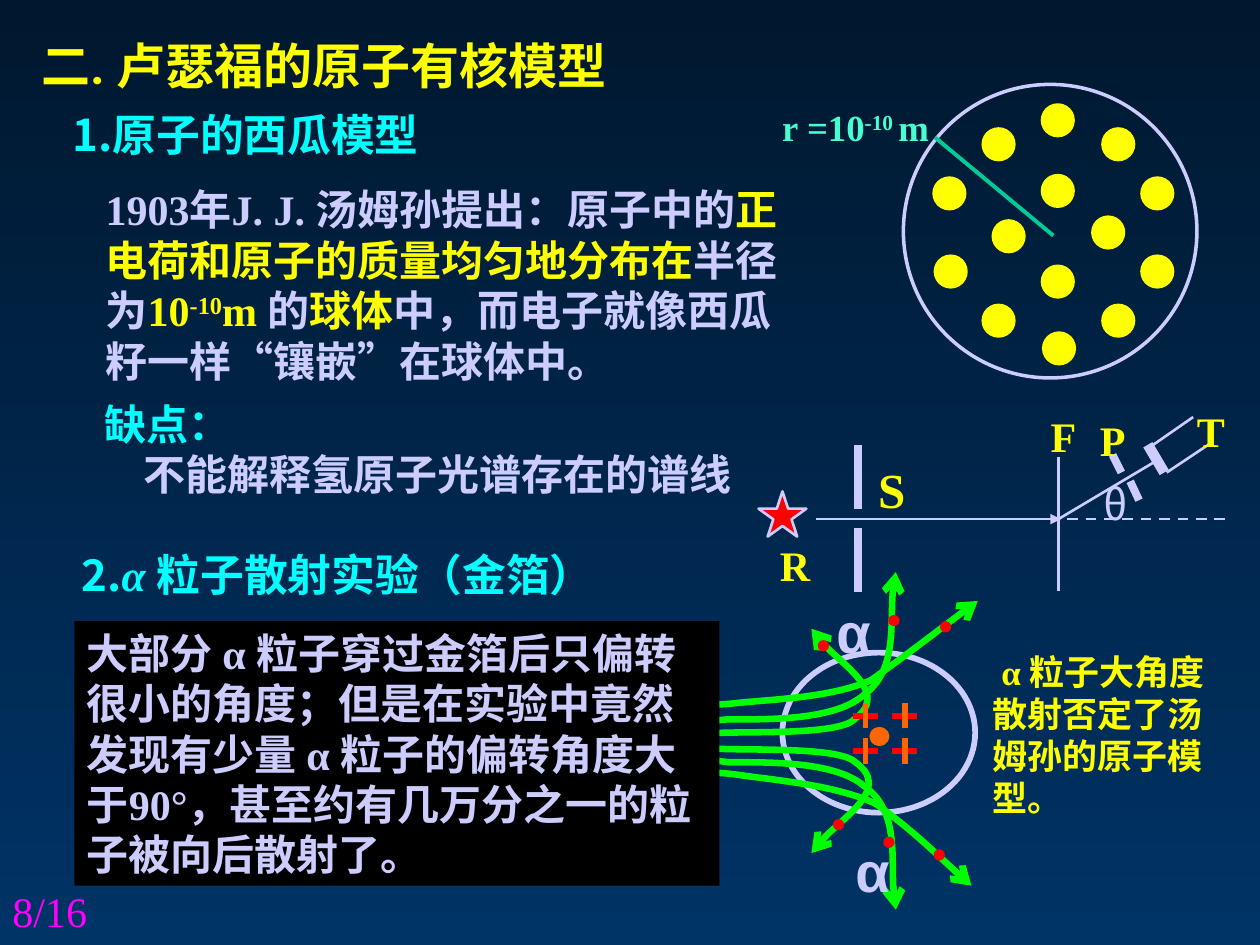
from lxml import etree
from pptx import Presentation
from pptx import util as u
from pptx.dml.color import RGBColor
from pptx.enum import dml, shapes, text
from pptx.oxml.ns import qn

SCALE = 9144
COLORS = {
    "night": "00182F", "navy": "003366", "yellow": "FFFF00", "lilac": "CCCCFF",
    "cyan": "00FFFF", "red": "FF0000", "green": "00FF00", "orange": "FF6600",
    "black": "000000", "magenta": "FF00FF", "teal": "00CC99", "mint": "47FFD1",
}
SERIF, SANS, CJK, ARIAL = "Times New Roman", "Roboto", "Noto Sans CJK SC", "Arial"


def px(value):
    return u.Emu(round(value * SCALE))


def rgb(name):
    return RGBColor.from_string(COLORS[name])


class Painter:
    def __init__(self, page):
        self.page = page

    def background(self, top, bottom):
        fill = self.page.background.fill
        fill.gradient()
        fill.gradient_angle = 270
        for stop, color, position in zip(fill.gradient_stops, (top, bottom), (0, 1)):
            stop.color.rgb = rgb(color)
            stop.position = position

    def stroke(self, line, color, width, arrow=None, dash=False):
        line.color.rgb = rgb(color)
        line.width = u.Pt(width)
        if dash:
            line.dash_style = dml.MSO_LINE.DASH
        if arrow:
            etree.SubElement(line._get_or_add_ln(), qn("a:tailEnd"), type=arrow)

    def shape(self, kind, left, top, width, height, fill=None, line=None, weight=1.5):
        shape = self.page.shapes.add_shape(kind, px(left), px(top), px(width), px(height))
        shape.shadow.inherit = False
        if fill:
            shape.fill.solid()
            shape.fill.fore_color.rgb = rgb(fill)
        else:
            shape.fill.background()
        if line:
            self.stroke(shape.line, line, weight)
        else:
            shape.line.fill.background()
        return shape

    def ellipse(self, *place, **style):
        return self.shape(shapes.MSO_SHAPE.OVAL, *place, **style)

    def line(self, x1, y1, x2, y2, color="lilac", width=1.5, arrow=None, dash=False):
        link = self.page.shapes.add_connector(
            shapes.MSO_CONNECTOR.STRAIGHT, px(x1), px(y1), px(x2), px(y2))
        self.stroke(link.line, color, width, arrow, dash)
        etree.SubElement(link._element.spPr, qn("a:effectLst"))

    def curve(self, points, color, width):
        builder = self.page.shapes.build_freeform(*points[0], scale=SCALE)
        builder.add_line_segments(points[1:], close=False)
        shape = builder.convert_to_shape()
        outline = next(shape._element.iter(qn("a:path")))
        corners = outline.findall(qn("a:lnTo"))
        for start in range(0, len(corners), 3):
            bend = etree.SubElement(outline, qn("a:cubicBezTo"))
            for corner in corners[start:start + 3]:
                bend.append(corner[0])
                outline.remove(corner)
        shape.shadow.inherit = False
        shape.fill.background()
        self.stroke(shape.line, color, width, "arrow")

    def set_text(self, box, paras, size, color, font=SERIF, bold=True, wrap=True,
                 pitch=None, middle=False):
        frame = box.text_frame
        frame.word_wrap = wrap
        frame.vertical_anchor = text.MSO_ANCHOR.MIDDLE if middle else text.MSO_ANCHOR.TOP
        for index, (indent, spans) in enumerate(paras):
            para = frame.add_paragraph() if index else frame.paragraphs[0]
            para.alignment = text.PP_ALIGN.LEFT
            if pitch:
                para.line_spacing = u.Pt(pitch)
            if indent:
                para._p.get_or_add_pPr().set("indent", str(px(indent)))
            for words, style in spans:
                span = para.add_run()
                span.text = words
                span.font.size = u.Pt(size)
                span.font.bold = bold
                span.font.name = style.get("font", font)
                span.font.color.rgb = rgb(style.get("color", color))
                if style.get("italic"):
                    span.font.italic = True
                if style.get("raised"):
                    span.font._element.set("baseline", "30000")

    def text(self, left, top, width, height, paras, size, color, **style):
        box = self.page.shapes.add_textbox(px(left), px(top), px(width), px(height))
        self.set_text(box, paras, size, color, **style)

    def label(self, left, top, width, height, words, size, color="yellow", **style):
        self.text(left, top, width, height, [(0, [(words, {})])], size, color,
                  wrap=False, **style)


def draw_headings(paint):
    yellow = {"color": "yellow"}
    paint.text(23, 23, 608, 57, [(0, [("二. 卢瑟福的原子有核模型", {})])], 28, "yellow",
               font=SANS, pitch=33.6, middle=True)
    paint.text(74, 141, 558, 170, [(0, [
        ("1903年J. J. 汤姆孙提出：原子中的", {}),
        ("正电荷和原子的质量均匀地分布在", yellow),
        ("半径为", {}),
        ("10", yellow),
        ("-10", {"color": "yellow", "raised": True}),
        ("m ", yellow),
        ("的", {}),
        ("球体", yellow),
        ("中，而电子就像西瓜籽一样“镶嵌”在球体中。", {}),
    ])], 24, "lilac", pitch=28.8)
    paint.text(48, 81, 515, 52, [(0, [("1.", {"font": CJK}), ("原子的西瓜模型", {})])],
               25, "cyan", font=SANS, pitch=30)
    paint.text(73, 311, 568, 90, [
        (0, [("缺点：", {})]),
        (31, [("不能解释氢原子光谱存在的谱线", {"color": "lilac"})]),
    ], 24, "cyan", pitch=28.8)
    paint.text(55, 430, 586, 52, [(0, [
        ("2.", {"font": CJK}),
        ("α ", {"font": SERIF, "italic": True}),
        ("粒子散射实验（金箔）", {}),
    ])], 25, "cyan", font=SANS, pitch=30)


def draw_melon_atom(paint):
    paint.ellipse(717, 67, 233, 233, line="lilac", weight=2)
    electrons = [(780, 102), (741, 141), (742, 203), (780, 242), (827, 211), (788, 175),
                 (827, 139), (875, 102), (906, 141), (906, 203), (867, 172), (875, 242),
                 (828, 264), (827, 83)]
    for left, top in electrons:
        paint.ellipse(left, top, 25, 25, fill="yellow", line="yellow")


def draw_apparatus(paint):
    for top in (353, 419):
        paint.line(681, top, 681, top + 51, width=4.5)
    paint.shape(shapes.MSO_SHAPE.STAR_5_POINT, 602, 390, 38, 36, fill="red", line="lilac")
    paint.line(840, 363, 840, 414)
    paint.line(840, 410, 840, 469)
    paint.line(648, 412, 842, 412, arrow="triangle")
    paint.line(847, 412, 976, 412, dash=True)
    paint.line(840, 412, 919, 365)
    paint.line(883, 361, 890, 375, width=4.5)
    paint.line(897, 382, 904, 397, width=4.5)
    paint.line(926, 375, 962, 351)
    paint.line(911, 356, 947, 331)
    paint.line(911, 353, 924, 375, width=6)
    paint.label(687, 360, 41, 57, "S", 28)
    for words, left, top in (("R", 609, 423), ("F", 824, 321), ("P", 863, 324), ("T", 940, 317)):
        paint.label(left, top, 42, 50, words, 24)
    paint.label(866, 375, 40, 50, "θ", 24, "lilac", font=CJK, bold=False, pitch=28.8)


def draw_scattering(paint):
    paint.ellipse(621, 518, 153, 127, line="lilac", weight=3.25)
    tracks = [
        [(533, 583), (539, 583), (541, 584), (565, 582), (589, 580), (665, 584), (678, 571),
         (706, 551), (651, 514), (644, 499)],
        [(535, 571), (542, 571), (552, 574), (577, 571), (609, 571), (662, 572), (685, 552),
         (712, 533), (705, 474), (711, 454)],
        [(527, 558), (537, 558), (558, 561), (585, 558), (612, 555), (659, 554), (691, 540),
         (718, 521), (758, 490), (776, 477)],
        [(533, 593), (539, 593), (541, 592), (566, 594), (590, 596), (666, 592), (679, 605),
         (707, 625), (652, 662), (644, 677)],
        [(532, 603), (539, 603), (552, 601), (578, 605), (610, 605), (663, 604), (686, 624),
         (713, 643), (706, 702), (711, 722)],
        [(530, 614), (540, 615), (559, 611), (586, 615), (613, 619), (664, 623), (695, 638),
         (722, 657), (755, 689), (771, 703)],
    ]
    for points in tracks:
        paint.curve(points, "green", 3.75)
    paint.ellipse(690, 577, 16, 15, fill="orange")
    for x in (687, 718):
        for y in (568, 596):
            paint.line(x - 10, y, x + 10, y, "red", 3.25)
            paint.line(x, y - 10, x, y + 10, "orange", 3.25)
    for left, top in ((669, 659), (654, 469)):
        paint.label(left, top, 48, 64, "α", 32, "lilac", font=ARIAL)
    for left, top in ((705, 488), (701, 664), (746, 493), (649, 508), (661, 650), (741, 674)):
        paint.ellipse(left, top, 9, 9, fill="red")


def draw_conclusions(paint):
    paint.text(778, 511, 206, 144, [(7, [("α 粒子大角度散射否定了汤姆孙的原子模型。", {})])],
               20, "yellow", pitch=24)
    panel = paint.shape(shapes.MSO_SHAPE.RECTANGLE, 59, 493, 512, 210, fill="black")
    paint.set_text(panel, [(0, [(
        "大部分 α 粒子穿过金箔后只偏转很小的角度；但是在实验中竟然发现有少量 α 粒子的偏转角度大于90°，"
        "甚至约有几万分之一的粒子被向后散射了。", {})])], 24, "lilac", pitch=28.8)
    paint.text(0, 698, 233, 52, [(0, [("8/16", {})])], 24, "magenta", bold=False)
    paint.line(836, 187, 742, 109, "teal", 2.25)
    paint.text(611, 78, 137, 45, [(0, [
        ("r =10", {}), ("-10 ", {"raised": True}), ("m", {})])], 21, "mint", wrap=False)


def main():
    deck = Presentation()
    deck.slide_width, deck.slide_height = px(1000), px(750)
    paint = Painter(deck.slides.add_slide(deck.slide_layouts[6]))
    paint.background("night", "navy")
    for draw in (draw_headings, draw_melon_atom, draw_apparatus, draw_scattering,
                 draw_conclusions):
        draw(paint)
    deck.save("out.pptx")


if __name__ == "__main__":
    main()
